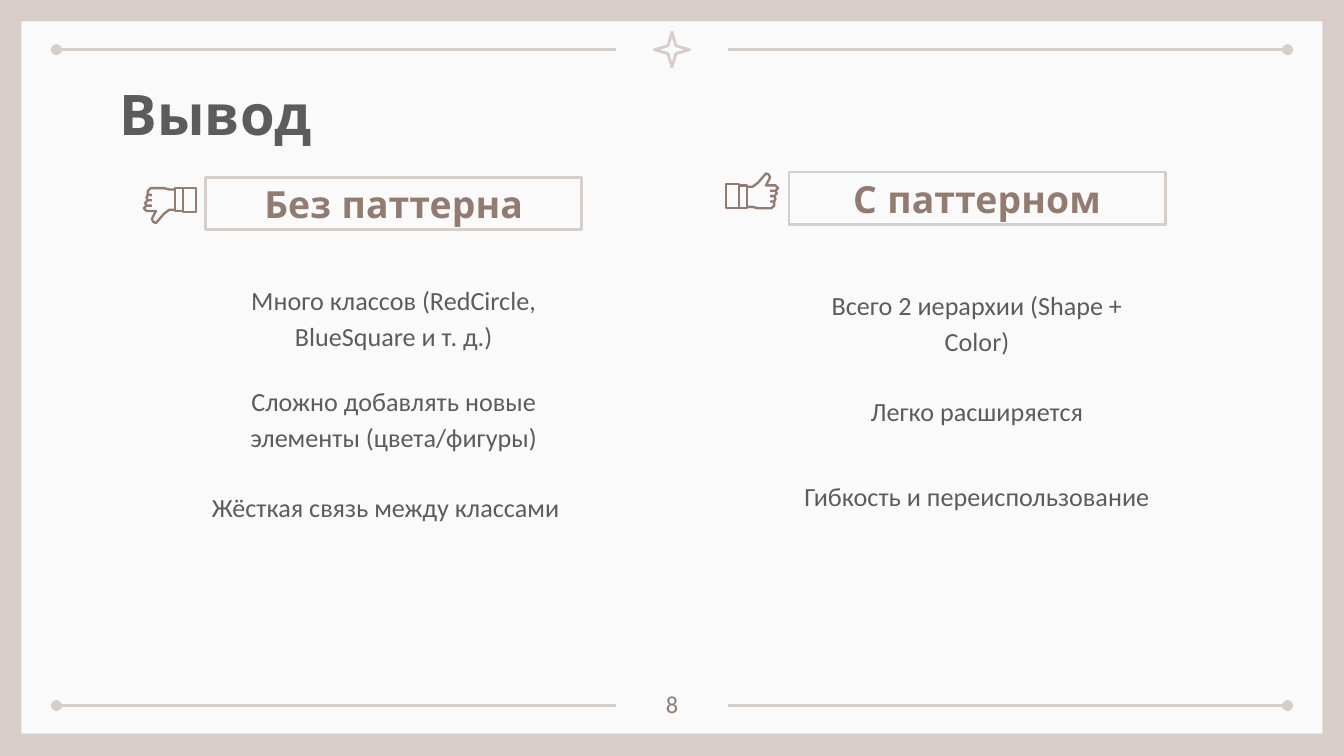
"""Build the conclusion slide comparing code without and with the pattern."""
from lxml import etree
from pptx import Presentation
from pptx.dml.color import RGBColor
from pptx.enum import shapes, text
from pptx.oxml.ns import qn
from pptx.util import Inches, Pt

SAND = RGBColor(0xD8, 0xCE, 0xC9)
PAPER = RGBColor(0xFA, 0xFA, 0xFA)
GREY = RGBColor(0x5C, 0x5C, 0x5F)
BROWN = RGBColor(0x92, 0x7C, 0x71)
DISPLAY, BODY = "Quicksand", "Calibri"
COLUMN_WIDTH = 2.8

HAND_STROKES = (
    ((1, 9), (11, 9), (11, 27), (1, 27), (1, 9)),
    ((11, 10), (17, 10), (17, 27), (11, 27)),
    ((17, 11), (21, 11), (25, 8), (31, 1), (33, 2), (34, 4), (31, 10),
     (38, 10), (40, 12), (38, 14), (34, 14)),
    ((38, 14), (39, 16), (37, 18), (34, 18)),
    ((37, 18), (38, 20), (37, 22), (34, 22)),
    ((37, 22), (37, 25), (35, 27), (25, 27), (21, 26), (17, 26)),
)

COLUMNS = (
    ("Без паттерна", (1.53, 1.32), (1.06, 1.39), 180, (
        ("Много классов (RedCircle, BlueSquare и т. д.)", 1.53, 1.98, 0.67),
        ("Сложно добавлять новые элементы (цвета/фигуры)", 1.53, 2.73, 1),
        ("Жёсткая связь между классами", 1.47, 3.52, 1),
    )),
    ("С паттерном", (5.87, 1.28), (5.39, 1.28), 0, (
        ("Всего 2 иерархии (Shape + Color)", 5.87, 2.02, 1),
        ("Легко расширяется", 5.87, 2.81, 1),
        ("Гибкость и переиспользование", 5.87, 3.44, 1),
    )),
)


def place(shape, left, top, width, height):
    """Set the position and size of a shape in inches."""
    shape.left, shape.top = Inches(left), Inches(top)
    shape.width, shape.height = Inches(width), Inches(height)


def outline(shape, color, width=1.5):
    """Give a shape an unfilled, shadowless outline."""
    shape.fill.background()
    shape.shadow.inherit = False
    shape.line.color.rgb = color
    shape.line.width = Pt(width)


def write(shape, words, size, color, font=BODY, bold=False, spacing=1.0,
          align=text.PP_ALIGN.CENTER, anchor=text.MSO_ANCHOR.TOP):
    """Fill a shape with one formatted, unbulleted paragraph."""
    frame = shape.text_frame
    frame.text = words
    frame.word_wrap = True
    frame.auto_size = text.MSO_AUTO_SIZE.NONE
    frame.vertical_anchor = anchor
    frame.margin_left = frame.margin_right = Inches(0.1)
    frame.margin_top = frame.margin_bottom = Inches(0.1)
    paragraph = frame.paragraphs[0]
    paragraph.alignment = align
    paragraph.line_spacing = spacing
    paragraph.space_before = Pt(0)
    paragraph.font.name, paragraph.font.size = font, Pt(size)
    paragraph.font.bold = bold
    paragraph.font.color.rgb = color
    properties = paragraph._p.get_or_add_pPr()
    properties.set("marL", "0")
    properties.set("indent", "0")
    bullet_free = etree.Element(qn("a:buNone"))
    properties.insert_element_before(bullet_free, "a:tabLst", "a:defRPr", "a:extLst")


def add_rule(slide, outer, inner, y):
    """Draw a horizontal rule with a dot at its outer end."""
    rule = slide.shapes.add_connector(
        shapes.MSO_CONNECTOR.STRAIGHT, Inches(outer), Inches(y), Inches(inner), Inches(y))
    rule.line.color.rgb = SAND
    rule.line.width = Pt(1.5)
    etree.SubElement(rule.line._get_or_add_ln(), qn("a:headEnd"), type="oval")
    etree.SubElement(rule._element.spPr, qn("a:effectLst"))


def add_frame(slide):
    """Draw the paper panel, the four rules and the star."""
    slide.background.fill.solid()
    slide.background.fill.fore_color.rgb = SAND
    paper = slide.shapes.add_shape(
        shapes.MSO_SHAPE.RECTANGLE, Inches(0.16), Inches(0.16), Inches(9.68), Inches(5.3))
    paper.fill.solid()
    paper.fill.fore_color.rgb = PAPER
    paper.line.fill.background()
    paper.shadow.inherit = False
    for y in (0.37, 5.25):
        add_rule(slide, 0.42, 4.58, y)
        add_rule(slide, 9.58, 5.42, y)
    star = slide.shapes.add_shape(
        shapes.MSO_SHAPE.STAR_4_POINT, Inches(4.87), Inches(0.24), Inches(0.26), Inches(0.26))
    star.adjustments[0] = 0.16
    outline(star, SAND)


def add_thumb(slide, left, top, rotation):
    """Draw a line-art thumb, upright or turned over."""
    first, *others = HAND_STROKES
    builder = slide.shapes.build_freeform(*first[0], scale=Inches(0.01))
    builder.add_line_segments(first[1:], close=False)
    for stroke in others:
        builder.move_to(*stroke[0])
        builder.add_line_segments(stroke[1:], close=False)
    thumb = builder.convert_to_shape(Inches(left), Inches(top))
    thumb.rotation = rotation
    outline(thumb, BROWN, 1.25)


def add_text_box(slide, left, top, width, height):
    """Add an empty text box measured in inches."""
    return slide.shapes.add_textbox(Inches(left), Inches(top), Inches(width), Inches(height))


def add_column(slide, heading, lead, column):
    """Fill one side: boxed heading, thumb and three points."""
    name, corner, thumb_corner, rotation, points = column
    place(heading, *corner, COLUMN_WIDTH, 0.39)
    outline(heading, SAND)
    write(heading, name, 20, BROWN, DISPLAY, True, anchor=text.MSO_ANCHOR.MIDDLE)
    add_thumb(slide, *thumb_corner, rotation)
    for index, (words, left, top, height) in enumerate(points):
        if index == 0:
            point = lead
            place(point, left, top, COLUMN_WIDTH, height)
        else:
            point = add_text_box(slide, left, top, COLUMN_WIDTH, height)
        write(point, words, 14, GREY, spacing=1.15)


def main():
    """Build and save the slide."""
    deck = Presentation()
    deck.slide_width = Inches(10)
    deck.slide_height = deck.slide_width * 9 // 16
    slide = deck.slides.add_slide(deck.slide_layouts.get_by_name("Comparison"))
    title, *sides = list(slide.placeholders)
    add_frame(slide)
    for holder in (title, *sides):
        slide.shapes._spTree.append(holder._element)
    place(title, 0.79, 0.49, 8.43, 0.63)
    write(title, "Вывод", 30, GREY, DISPLAY, True, align=text.PP_ALIGN.LEFT)
    for heading, lead, column in zip(sides[::2], sides[1::2], COLUMNS):
        add_column(slide, heading, lead, column)
    write(add_text_box(slide, 4.7, 5.03, 0.6, 0.36), "8", 13, BROWN)
    deck.save("out.pptx")


if __name__ == "__main__":
    main()
